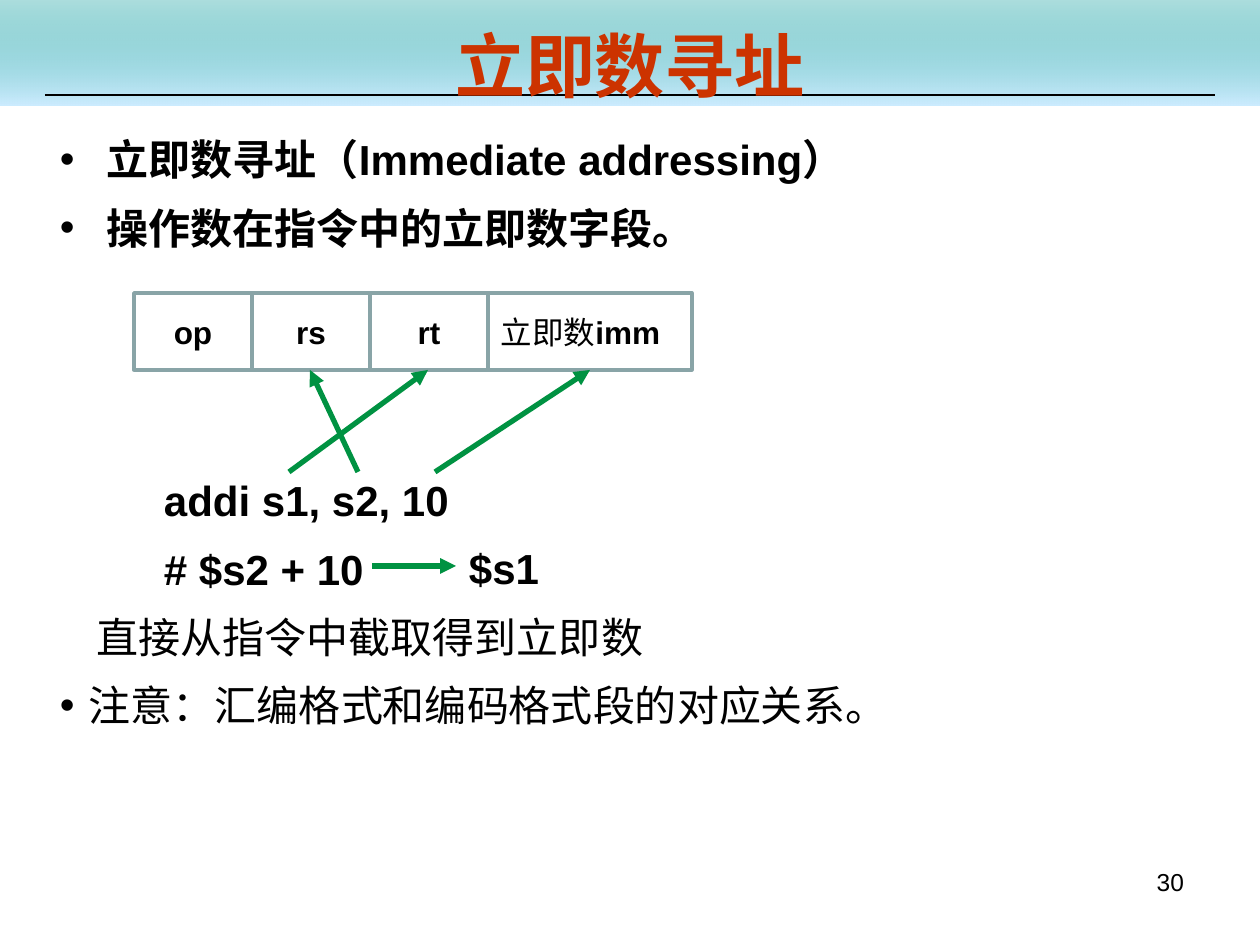
from lxml import etree
from pptx import Presentation
from pptx.dml.color import RGBColor
from pptx.enum.shapes import MSO_CONNECTOR, MSO_SHAPE
from pptx.enum.text import MSO_ANCHOR, MSO_AUTO_SIZE, PP_ALIGN
from pptx.oxml.ns import qn
from pptx.util import Pt

LEFT, CENTER, RIGHT = PP_ALIGN.LEFT, PP_ALIGN.CENTER, PP_ALIGN.RIGHT
TOP, MIDDLE = MSO_ANCHOR.TOP, MSO_ANCHOR.MIDDLE
STRAIGHT, RECTANGLE = MSO_CONNECTOR.STRAIGHT, MSO_SHAPE.RECTANGLE
NO_FIT = MSO_AUTO_SIZE.NONE
EMU_PER_PIXEL = 914400 / 126
COLORS = {
    "text": "000000",
    "title": "CC3300",
    "band_top": "009999",
    "band_bottom": "CCECFF",
    "field": "89A4A7",
    "arrow": "009242",
}


def emu(pixels):
    """Convert pixels to EMU."""
    return round(pixels * EMU_PER_PIXEL)


def color(name):
    """Look up a named colour."""
    return RGBColor.from_string(COLORS[name])


def add_child(parent, tag, **attributes):
    """Append an XML child with the given attributes."""
    return etree.SubElement(parent, qn(tag), attributes)


class SlideBuilder:
    """Hold the style and the current slide."""

    def __init__(self, slide, font="Arial"):
        """Keep the slide and its font."""
        self.slide = slide
        self.shapes = slide.shapes
        self.font = font

    def run(self, paragraph, text, size, bold=False, color_name="text"):
        """Add a formatted run."""
        run = paragraph.add_run()
        run.text = text
        formats = {"name": self.font, "size": Pt(size), "bold": bold}
        for name, value in formats.items():
            setattr(run.font, name, value)
        run.font.color.rgb = color(color_name)

    def frame(self, shape, anchor=TOP):
        """Prepare a text frame."""
        formats = {
            "word_wrap": True,
            "auto_size": NO_FIT,
            "vertical_anchor": anchor,
            "margin_left": emu(13),
            "margin_right": emu(13),
            "margin_top": emu(6),
            "margin_bottom": emu(6),
        }
        for name, value in formats.items():
            setattr(shape.text_frame, name, value)
        return shape.text_frame

    def place(self, shape, box):
        """Move and size a shape."""
        for name, value in zip(("left", "top", "width", "height"), box):
            setattr(shape, name, emu(value))

    def title(self, text, box):
        """Fill the title placeholder."""
        shape = self.shapes.title
        self.place(shape, box)
        paragraph = self.frame(shape, MIDDLE).paragraphs[0]
        paragraph.alignment = CENTER
        self.run(paragraph, text, 40, True, "title")

    def list_spacing(self, paragraph):
        """Set the alignment and spacing of list lines."""
        formats = {
            "alignment": LEFT,
            "line_spacing": 1.15,
            "space_before": Pt(6),
            "space_after": Pt(0),
        }
        for name, value in formats.items():
            setattr(paragraph, name, value)

    def body(self, index, box, items):
        """Fill a body placeholder with paragraphs."""
        shape = self.slide.placeholders[index]
        self.place(shape, box)
        frame = self.frame(shape)
        for number, (text, bold, margin, bullet) in enumerate(items):
            paragraph = frame.add_paragraph() if number else frame.paragraphs[0]
            self.list_spacing(paragraph)
            self.list_indent(paragraph, margin, bullet)
            self.run(paragraph, text, 24, bold)

    def list_indent(self, paragraph, margin, bullet):
        """Set the indent and bullet."""
        properties = paragraph._p.get_or_add_pPr()
        properties.set("marL", str(emu(margin)))
        properties.set("indent", str(-emu(margin) if bullet else 0))
        if bullet:
            bullet_color = add_child(properties, "a:buClr")
            add_child(bullet_color, "a:srgbClr", val=COLORS["text"])
            add_child(properties, "a:buFont", typeface=self.font)
            add_child(properties, "a:buChar", char="•")
        else:
            add_child(properties, "a:buNone")

    def text(self, text, box, size, bold=False):
        """Add a text box and return its paragraph."""
        shape = self.shapes.add_textbox(*map(emu, box))
        paragraph = self.frame(shape).paragraphs[0]
        self.run(paragraph, text, size, bold)
        return paragraph

    def field(self, runs, box, alignment):
        """Add an outlined instruction field."""
        shape = self.shapes.add_shape(RECTANGLE, *map(emu, box))
        shape.shadow.inherit = False
        shape.fill.background()
        shape.line.color.rgb = color("field")
        shape.line.width = Pt(2)
        paragraph = self.frame(shape, MIDDLE).paragraphs[0]
        paragraph.alignment = alignment
        for text, bold in runs:
            self.run(paragraph, text, 18, bold)

    def band(self, box):
        """Add the gradient band behind everything."""
        shape = self.shapes.add_shape(RECTANGLE, *map(emu, box))
        shape.shadow.inherit = False
        shape.line.fill.background()
        shape.fill.gradient()
        shape.fill.gradient_angle = 270
        stops = shape.fill.gradient_stops
        for stop, name, position in zip(stops, ("band_top", "band_bottom"), (0, 1)):
            stop.color.rgb = color(name)
            stop.position = position
        first_color = next(shape._element.spPr.iter(qn("a:srgbClr")))
        add_child(first_color, "a:alpha", val="32000")
        self.send_to_back(shape)

    def line(self, start, end, color_name, width, arrow=False):
        """Add a straight line or arrow."""
        connector = self.shapes.add_connector(STRAIGHT, *map(emu, start + end))
        connector.line.color.rgb = color(color_name)
        connector.line.width = Pt(width)
        if arrow:
            add_child(connector.line._get_or_add_ln(), "a:tailEnd", type="triangle")
        add_child(connector._element.spPr, "a:effectLst")
        return connector

    def send_to_back(self, shape):
        """Move a shape behind all others."""
        self.shapes._spTree.insert(2, shape._element)


presentation = Presentation()
presentation.slide_width, presentation.slide_height = emu(1260), emu(945)
builder = SlideBuilder(presentation.slides.add_slide(presentation.slide_layouts[3]))

builder.send_to_back(builder.line((45, 95), (1215, 95), "text", 0.74))
builder.band((0, 0, 1260, 106))
builder.title("立即数寻址", (63, 26, 1134, 77))

builder.body(1, (47, 120, 1134, 147), [
    ("立即数寻址（Immediate addressing）", True, 47, True),
    ("操作数在指令中的立即数字段。", True, 47, True),
])
builder.body(2, (47, 461, 1134, 316), [
    ("addi s1, s2, 10", True, 104, False),
    ("# $s2 + 10", True, 104, False),
    ("直接从指令中截取得到立即数", False, 37, False),
    ("注意：汇编格式和编码格式段的对应关系。", False, 29, True),
])
builder.list_spacing(builder.text("$s1", (456, 529, 110, 74), 24, True))
builder.text("30", (903, 861, 294, 66), 14).alignment = RIGHT

field_left = 134
for runs, width, alignment in (
    ([("op", True)], 118, CENTER),
    ([("rs", True)], 118, CENTER),
    ([("rt", True)], 118, CENTER),
    ([("立即数", False), ("imm", True)], 204, LEFT),
):
    builder.field(runs, (field_left, 293, width, 77), alignment)
    field_left += width

for start, end in (
    ((289, 472), (428, 370)),
    ((358, 472), (310, 370)),
    ((435, 472), (590, 370)),
    ((372, 566), (456, 566)),
):
    builder.line(start, end, "arrow", 3, arrow=True)

presentation.save("out.pptx")
